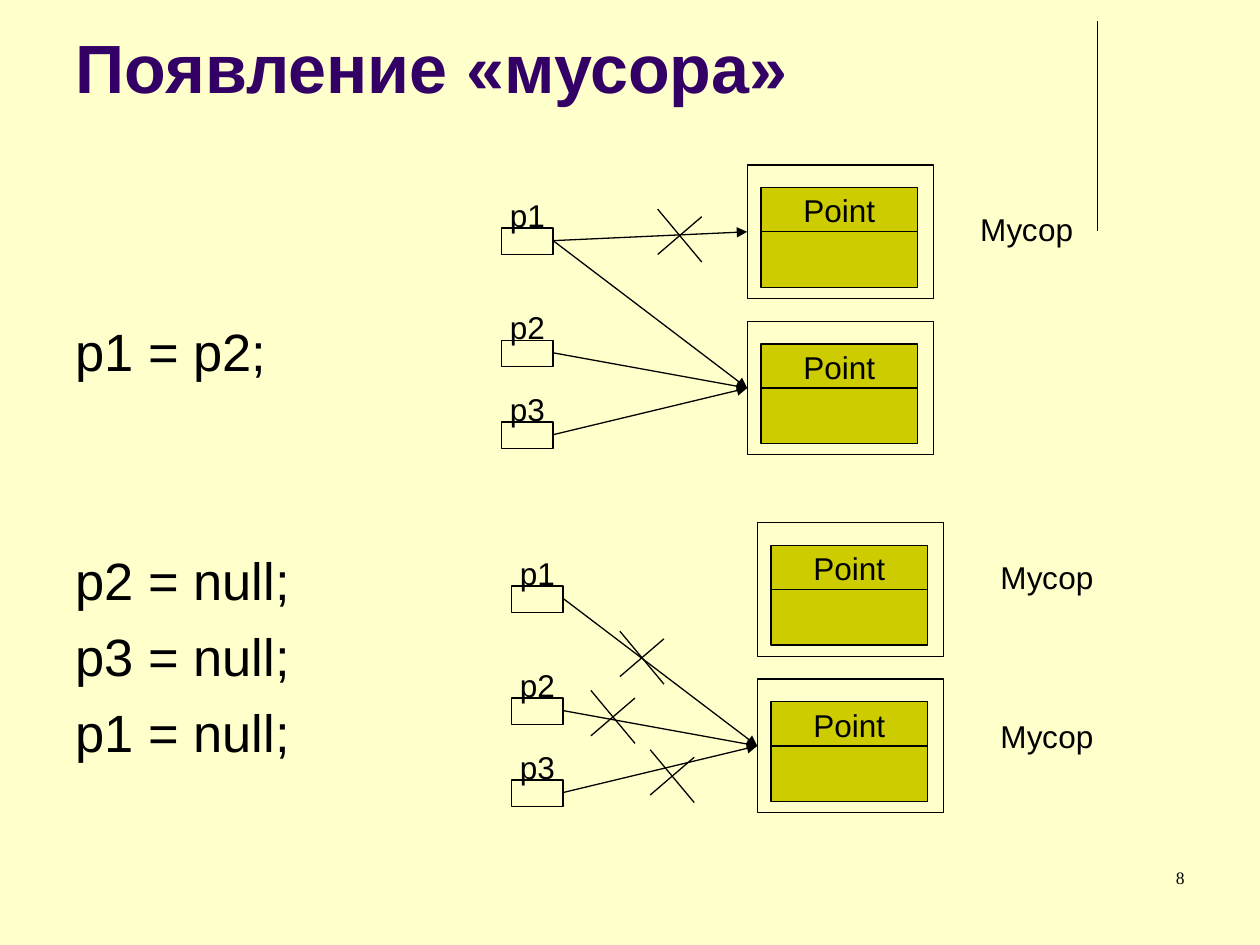
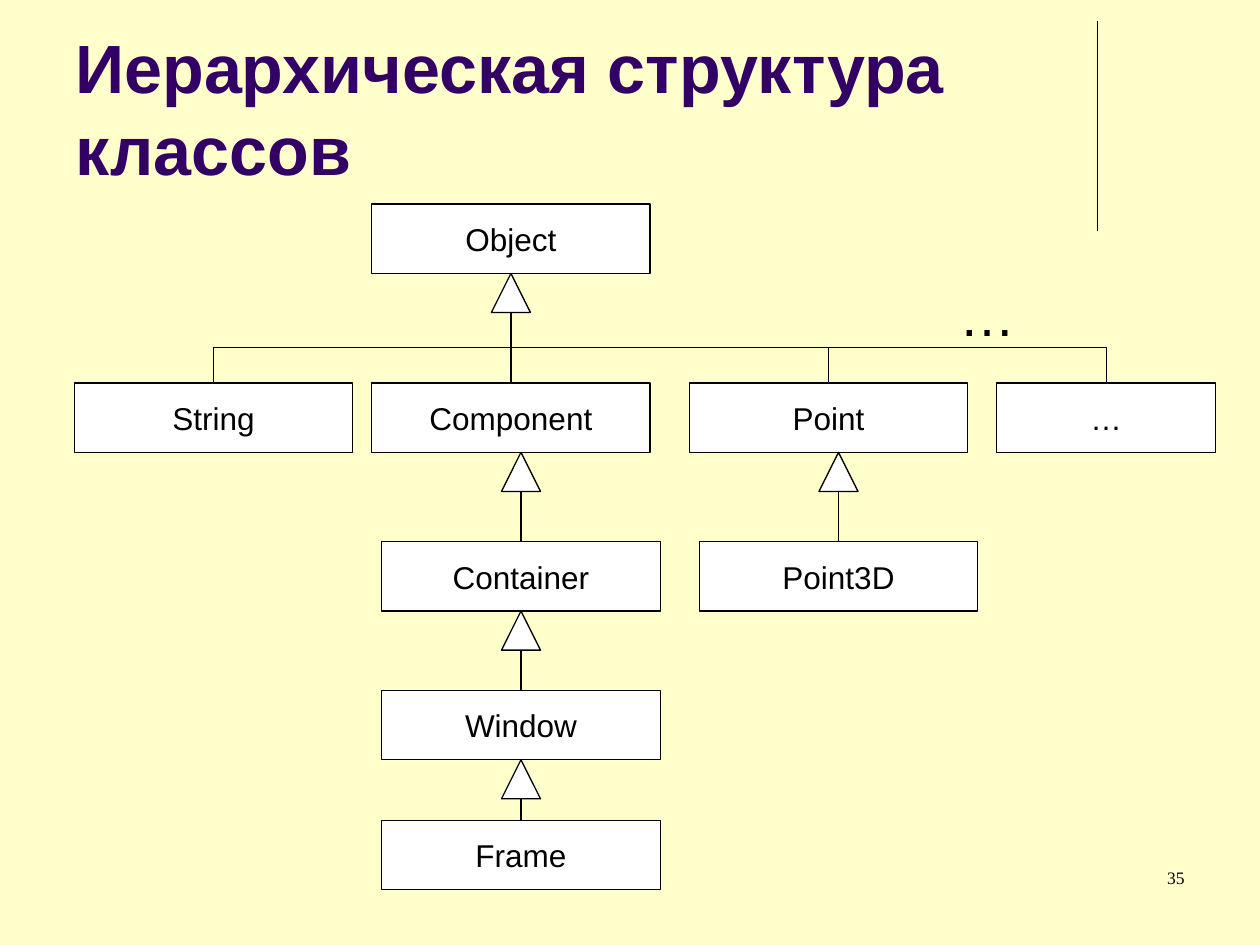
"""Build two slides on object references, garbage and class hierarchy."""
import pptx
import pptx.dml.color
import pptx.enum.shapes
import pptx.enum.text
import pptx.oxml.ns
import pptx.util
from lxml import etree

Inches = pptx.util.Inches
Pt = pptx.util.Pt
color = pptx.dml.color.RGBColor.from_string
SHAPES = pptx.enum.shapes.MSO_SHAPE
LINES = pptx.enum.shapes.MSO_CONNECTOR
ALIGN = pptx.enum.text.PP_ALIGN
ANCHOR = pptx.enum.text.MSO_ANCHOR

PAPER = "FFFFCC"
TITLE = "330066"
INK = "000000"
OLIVE = "CCCC00"
WHITE = "FFFFFF"


def add_box(page, place, text="", kind=None, fill=None, size=18, ink=INK, font="Arial",
            align=ALIGN.LEFT, anchor=ANCHOR.TOP, wrap=False):
    place = [Inches(length) for length in place]
    if kind is None:
        box = page.shapes.add_textbox(*place)
    else:
        box = page.shapes.add_shape(kind, *place)
        box.shadow.inherit = False
        box.line.color.rgb = color(INK)
        box.line.width = Pt(0.75)
        if fill:
            box.fill.solid()
            box.fill.fore_color.rgb = color(fill)
        else:
            box.fill.background()
    frame = box.text_frame
    frame.word_wrap = wrap
    frame.vertical_anchor = anchor
    if text:
        frame.text = text
        for para in frame.paragraphs:
            para.alignment = align
            for span in para.runs:
                span.font.name = font
                span.font.size = Pt(size)
                span.font.color.rgb = color(ink)
    return box


def add_line(page, x1, y1, x2, y2, arrow=False, kind=LINES.STRAIGHT):
    line = page.shapes.add_connector(kind, Inches(x1), Inches(y1), Inches(x2), Inches(y2))
    line.line.color.rgb = color(INK)
    line.line.width = Pt(0.75)
    if arrow:
        outline = line.line._get_or_add_ln()
        etree.SubElement(outline, pptx.oxml.ns.qn("a:tailEnd"), type="triangle")
    etree.SubElement(line._element.spPr, pptx.oxml.ns.qn("a:effectLst"))
    return line


deck = pptx.Presentation()
deck.slide_width = Inches(10)
deck.slide_height = Inches(7.5)
background = deck.slide_master.background.fill
background.solid()
background.fore_color.rgb = color(PAPER)

pages = []
for heading, number in (("Появление «мусора»", "8"), ("Иерархическая структура классов", "35")):
    page = deck.slides.add_slide(deck.slide_layouts[6])
    add_line(page, 8.71, 0.17, 8.71, 1.83)
    title = add_box(page, (0.5, 0.15, 8.25, 1.4), heading, size=39, ink=TITLE, wrap=True)
    title.text_frame.paragraphs[0].runs[0].font.bold = True
    add_box(page, (7.17, 6.83, 2.33, 0.5), number, size=10, font="Times New Roman",
            align=ALIGN.RIGHT, wrap=True)
    pages.append(page)
garbage_page, hierarchy_page = pages
centred = {"align": ALIGN.CENTER, "anchor": ANCHOR.MIDDLE}

code = add_box(garbage_page, (0.5, 2.48, 9, 4.22),
               "p1 = p2;\np2 = null;\np3 = null;\np1 = null;", size=30, wrap=True)
for para, gap in zip(code.text_frame.paragraphs, (0, 95, 7.5, 7.5)):
    para.space_before = Pt(gap)

variables = {"p1": 1.81, "p2": 2.7, "p3": 3.35}
object_tops = (1.31, 2.55)
for shift_x, shift_y in ((0, 0), (0.08, 2.84)):
    object_left = 5.93 + shift_x
    variable_left = 3.98 + shift_x
    for object_top in object_tops:
        top = object_top + shift_y
        add_box(garbage_page, (object_left + 0.11, top + 0.18, 1.24, 0.36), "Point",
                SHAPES.RECTANGLE, OLIVE, **centred)
        add_box(garbage_page, (object_left + 0.11, top + 0.53, 1.24, 0.44),
                kind=SHAPES.RECTANGLE, fill=OLIVE)
        add_box(garbage_page, (object_left, top, 1.48, 1.06), kind=SHAPES.RECTANGLE)
    for name, variable_top in variables.items():
        top = variable_top + shift_y
        add_box(garbage_page, (variable_left, top, 0.41, 0.21), kind=SHAPES.RECTANGLE)
        label = add_box(garbage_page, (variable_left, top - 0.21, 0.41, 0.21), name, **centred)
        label.text_frame.margin_left = label.text_frame.margin_right = 0
        add_line(garbage_page, variable_left + 0.41, top + 0.1,
                 object_left, object_tops[1] + 0.53 + shift_y, arrow=True)
add_line(garbage_page, 4.39, 1.91, 5.93, 1.84, arrow=True)

for left, top in ((5.22, 1.66), (4.92, 5.01), (4.69, 5.48), (5.16, 5.95)):
    add_line(garbage_page, left + 0.35, top + 0.06, left, top + 0.36)
    add_line(garbage_page, left, top, left + 0.35, top + 0.42)

for left, top in ((7.68, 1.62), (7.84, 4.38), (7.84, 5.64)):
    add_box(garbage_page, (left, top, 0.95, 0.4), "Мусор")

class_height = 0.55
triangle_side = 0.31
classes = {
    "Object": (2.95, 1.62, 2.21),
    "String": (0.59, 3.04, 2.21),
    "Component": (2.95, 3.04, 2.21),
    "Point": (5.47, 3.04, 2.21),
    "…": (7.91, 3.04, 1.74),
    "Container": (3.03, 4.3, 2.21),
    "Point3D": (5.55, 4.3, 2.21),
    "Window": (3.03, 5.48, 2.21),
    "Frame": (3.03, 6.51, 2.21),
}
centres = {}
for name, (left, top, width) in classes.items():
    add_box(hierarchy_page, (left, top, width, class_height), name,
            SHAPES.RECTANGLE, WHITE, **centred)
    centres[name] = left + width / 2

for parent, children in {"Object": ("String", "Component", "Point", "…"),
                         "Component": ("Container",), "Container": ("Window",),
                         "Window": ("Frame",), "Point": ("Point3D",)}.items():
    apex = centres[parent] if len(children) > 1 else centres[children[0]]
    top = classes[parent][1] + class_height
    base = top + triangle_side
    add_box(hierarchy_page, (apex - triangle_side / 2, top, triangle_side, triangle_side),
            kind=SHAPES.FLOWCHART_EXTRACT, fill=WHITE)
    for child in children:
        child_top = classes[child][1]
        if len(children) == 1:
            add_line(hierarchy_page, apex, child_top, apex, base)
            continue
        middle_x = (centres[child] + apex) / 2
        middle_y = (child_top + base) / 2
        half_span = (centres[child] - apex) / 2
        half_drop = (child_top - base) / 2
        branch = add_line(hierarchy_page, middle_x - half_drop, middle_y + half_span,
                          middle_x + half_drop, middle_y - half_span, kind=LINES.ELBOW)
        branch._element.spPr.xfrm.set("rot", str(270 * 60000))

add_box(hierarchy_page, (7.52, 2.18, 1.18, 0.64), "…", size=32, wrap=True)

deck.save("out.pptx")
